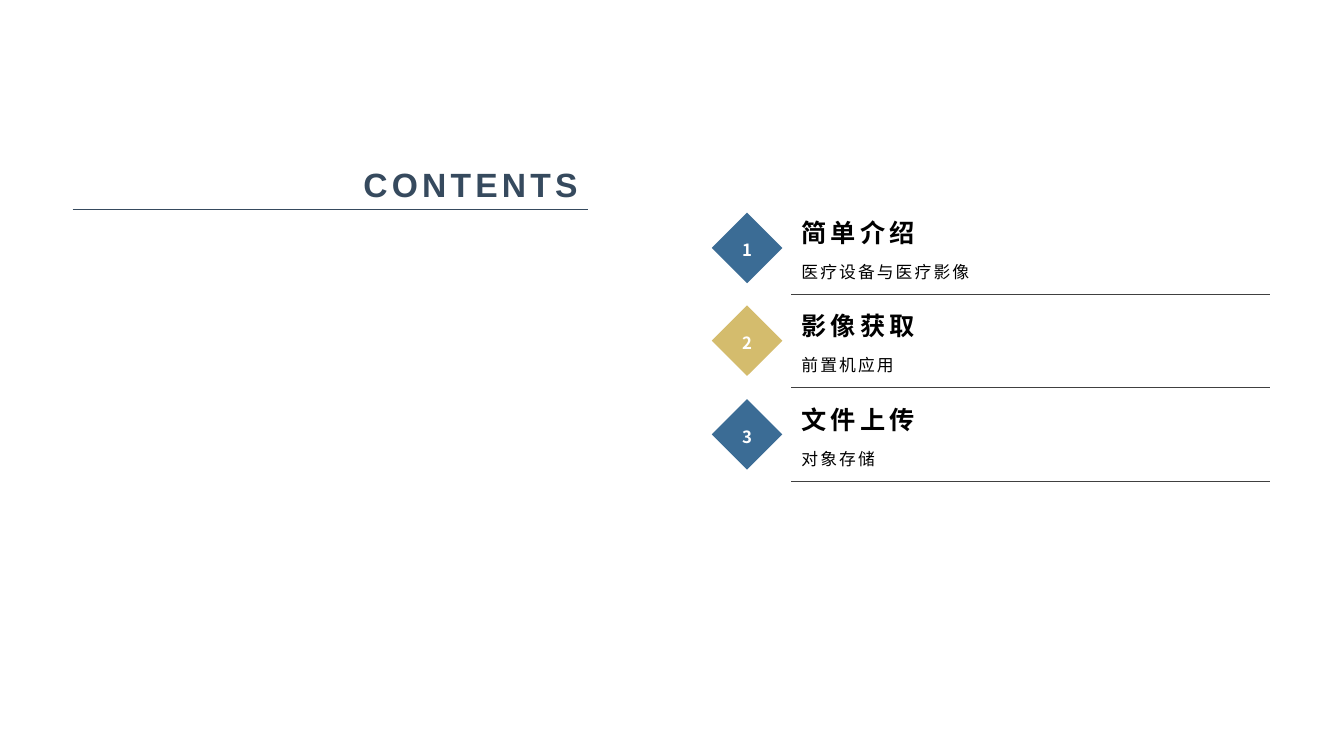
from lxml import etree
from pptx import Presentation
from pptx.dml.color import RGBColor
from pptx.enum.shapes import MSO_CONNECTOR, MSO_SHAPE
from pptx.enum.text import MSO_ANCHOR, MSO_AUTO_SIZE, PP_ALIGN
from pptx.oxml.ns import qn
from pptx.util import Pt

PX = 9144
BLUE = RGBColor(0x3B, 0x6C, 0x95)
GOLD = RGBColor(0xD4, 0xBC, 0x6D)
NAVY = RGBColor(0x36, 0x4A, 0x5E)
GRAY = RGBColor(0x40, 0x40, 0x40)
BLACK = RGBColor(0, 0, 0)
WHITE = RGBColor(0xFF, 0xFF, 0xFF)
LATIN = "Arial"
HAN = "Noto Sans CJK SC"
DIAMOND = MSO_SHAPE.DIAMOND
STRAIGHT = MSO_CONNECTOR.STRAIGHT
MIDDLE, BOTTOM = MSO_ANCHOR.MIDDLE, MSO_ANCHOR.BOTTOM
LEFT, CENTER, RIGHT = PP_ALIGN.LEFT, PP_ALIGN.CENTER, PP_ALIGN.RIGHT
FIXED = MSO_AUTO_SIZE.NONE


def write(shape, text, size=12, font=LATIN, color=BLACK, bold=False,
          gap=0, align=LEFT, anchor=MIDDLE, top=5, bottom=5):
    frame = shape.text_frame
    frame.word_wrap = True
    frame.auto_size = FIXED
    frame.vertical_anchor = anchor
    frame.margin_left = frame.margin_right = 10 * PX
    frame.margin_top, frame.margin_bottom = top * PX, bottom * PX
    para = frame.paragraphs[0]
    para.alignment = align
    para.line_spacing = 1.2
    run = para.add_run()
    run.text = text
    run.font.size = Pt(size)
    run.font.bold = bold
    run.font.color.rgb = color
    run.font.name = font
    props = run.font._element
    props.set("spc", str(gap))
    etree.SubElement(props, qn("a:ea")).set("typeface", HAN)


def rule(left, right, y, color):
    line = slide.shapes.add_connector(
        STRAIGHT, left * PX, y * PX, right * PX, y * PX)
    line.line.color.rgb = color
    line.line.width = Pt(0.25)
    etree.SubElement(line._element.spPr, qn("a:effectLst"))


deck = Presentation()
deck.slide_width, deck.slide_height = 1333 * PX, 750 * PX
slide = deck.slides.add_slide(deck.slide_layouts[5])
shapes = slide.shapes

title = shapes.title
title.left, title.top = 72 * PX, 125 * PX
title.width, title.height = 511 * PX, 83 * PX
write(title, "CONTENTS", size=24, color=NAVY, bold=True, gap=300,
      align=RIGHT, anchor=BOTTOM)
rule(72, 583, 208, NAVY)

topics = [
    ("简单介绍", "医疗设备与医疗影像", BLUE),
    ("影像获取", "前置机应用", GOLD),
    ("文件上传", "对象存储", BLUE),
]
for i, (head, note, fill) in enumerate(topics):
    y = 203 + i * 185 // 2
    badge = shapes.add_shape(DIAMOND, 706 * PX, (y + 8) * PX, 70 * PX, 70 * PX)
    badge.shadow.inherit = False
    badge.fill.solid()
    badge.fill.fore_color.rgb = fill
    badge.line.fill.background()
    write(badge, str(i + 1), font=HAN, color=WHITE, bold=True, align=CENTER)

    box = shapes.add_textbox(785 * PX, y * PX, 475 * PX, 45 * PX)
    write(box, head, size=18, bold=True, gap=300, bottom=0)
    box = shapes.add_textbox(785 * PX, (y + 48) * PX, 475 * PX, 39 * PX)
    write(box, note, gap=150, top=0)
    rule(785, 1260, y + 89, GRAY)

deck.save("out.pptx")
